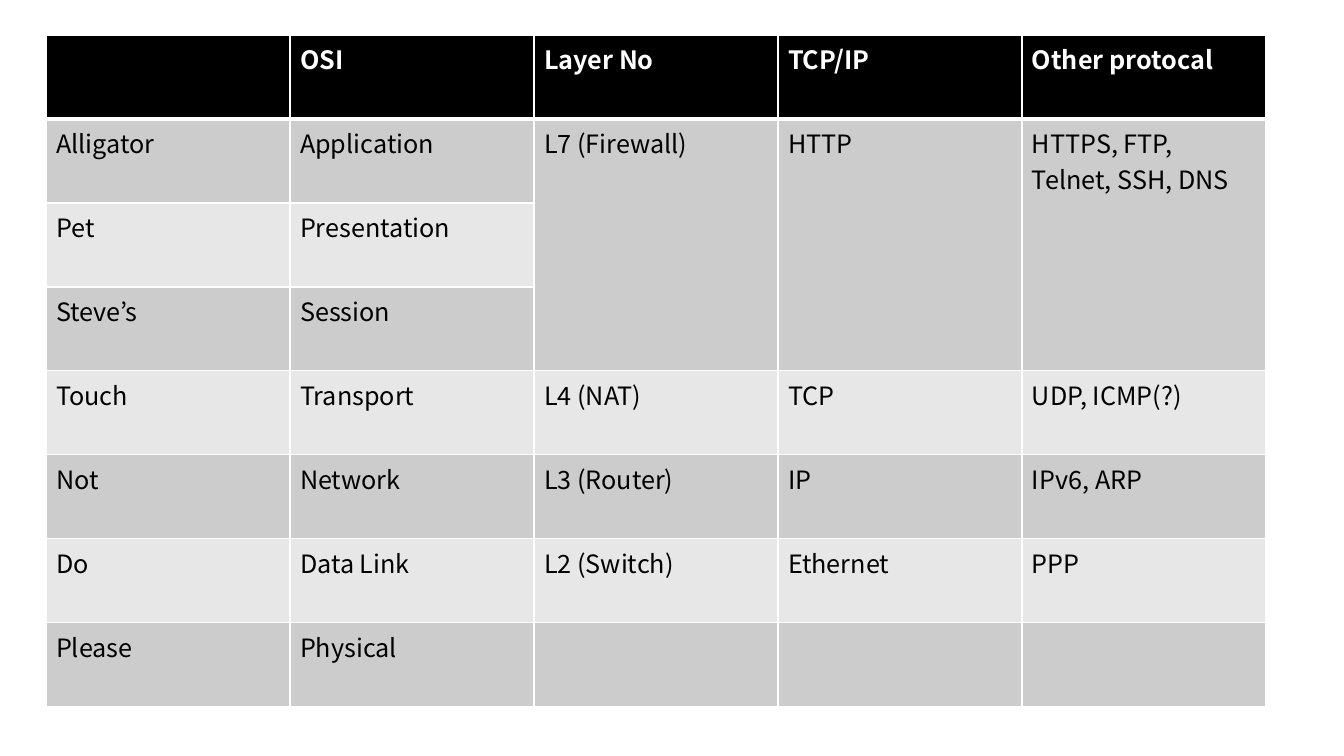
from dataclasses import dataclass

from lxml.etree import SubElement
from pptx import Presentation
from pptx.dml.color import RGBColor
from pptx.oxml.ns import qn
from pptx.table import Table, _Cell as Cell
from pptx.util import Emu, Pt

EMU_PER_PX = 914400 / 100.8
SLIDE_WIDTH, SLIDE_HEIGHT = 1344, 756
TABLE_LEFT, TABLE_TOP = 46, 35
COLUMN_WIDTH, ROW_HEIGHT = 244, 84

BLACK = RGBColor(0x00, 0x00, 0x00)
WHITE = RGBColor(0xFF, 0xFF, 0xFF)
DARK_BAND = RGBColor(0xCC, 0xCC, 0xCC)
LIGHT_BAND = RGBColor(0xE7, 0xE7, 0xE7)

FONT = "Noto Sans CJK KR"
THIN, THICK = 1, 3


@dataclass(frozen=True)
class Layer:
    mnemonic: str
    osi: str
    number: str = ""
    tcp_ip: str = ""
    other: str = ""

    def texts(self) -> list[str]:
        return [self.mnemonic, self.osi, self.number, self.tcp_ip, self.other]


HEADER = Layer("", "OSI", "Layer No", "TCP/IP", "Other protocal")
LAYERS = [
    Layer("Alligator", "Application", "L7 (Firewall)", "HTTP", "HTTPS, FTP, Telnet, SSH, DNS"),
    Layer("Pet", "Presentation"),
    Layer("Steve’s", "Session"),
    Layer("Touch", "Transport", "L4 (NAT)", "TCP", "UDP, ICMP(?)"),
    Layer("Not", "Network", "L3 (Router)", "IP", "IPv6, ARP"),
    Layer("Do", "Data Link", "L2 (Switch)", "Ethernet", "PPP"),
    Layer("Please", "Physical"),
]
MERGED_COLUMNS = range(2, 5)
MERGED_FIRST_ROW, MERGED_LAST_ROW = 1, 3


def px(length: int) -> Emu:
    return Emu(round(length * EMU_PER_PX))


def write_text(cell: Cell, text: str, *, color: RGBColor, bold: bool = False, size: int = 18) -> None:
    para = cell.text_frame.paragraphs[0]
    para.font.size = Pt(size)
    if not text:
        return
    span = para.add_run()
    span.text = text
    span.font.name = FONT
    span.font.size = Pt(size)
    span.font.bold = bold
    span.font.color.rgb = color


def add_borders(cell: Cell, *, top: int = THIN, bottom: int = THIN) -> None:
    """Draw white cell borders, widths in points; call before setting the fill."""
    properties = cell._tc.get_or_add_tcPr()
    widths = {"a:lnL": THIN, "a:lnR": THIN, "a:lnT": top, "a:lnB": bottom}
    for tag, width in widths.items():
        line = SubElement(properties, qn(tag), w=str(Pt(width)))
        fill = SubElement(line, qn("a:solidFill"))
        SubElement(fill, qn("a:srgbClr"), val=str(WHITE))


def fill_row(table: Table, row: int, layer: Layer) -> None:
    is_header = row == 0
    band = BLACK if is_header else DARK_BAND if row % 2 else LIGHT_BAND
    for column, text in enumerate(layer.texts()):
        cell = table.cell(row, column)
        add_borders(
            cell,
            top=THICK if row == 1 else THIN,
            bottom=THICK if is_header else THIN,
        )
        cell.fill.solid()
        cell.fill.fore_color.rgb = band
        write_text(cell, text, color=WHITE if is_header else BLACK, bold=is_header)


def main() -> None:
    deck = Presentation()
    deck.slide_width, deck.slide_height = px(SLIDE_WIDTH), px(SLIDE_HEIGHT)
    page = deck.slides.add_slide(deck.slide_layouts[6])

    rows = [HEADER, *LAYERS]
    column_count = len(HEADER.texts())
    table = page.shapes.add_table(
        len(rows), column_count, px(TABLE_LEFT), px(TABLE_TOP),
        px(COLUMN_WIDTH * column_count), px(ROW_HEIGHT * len(rows)),
    ).table
    for column in table.columns:
        column.width = px(COLUMN_WIDTH)
    for row in table.rows:
        row.height = px(ROW_HEIGHT)
    for row, layer in enumerate(rows):
        fill_row(table, row, layer)
    for column in MERGED_COLUMNS:
        table.cell(MERGED_FIRST_ROW, column).merge(table.cell(MERGED_LAST_ROW, column))

    deck.save("out.pptx")


if __name__ == "__main__":
    main()
